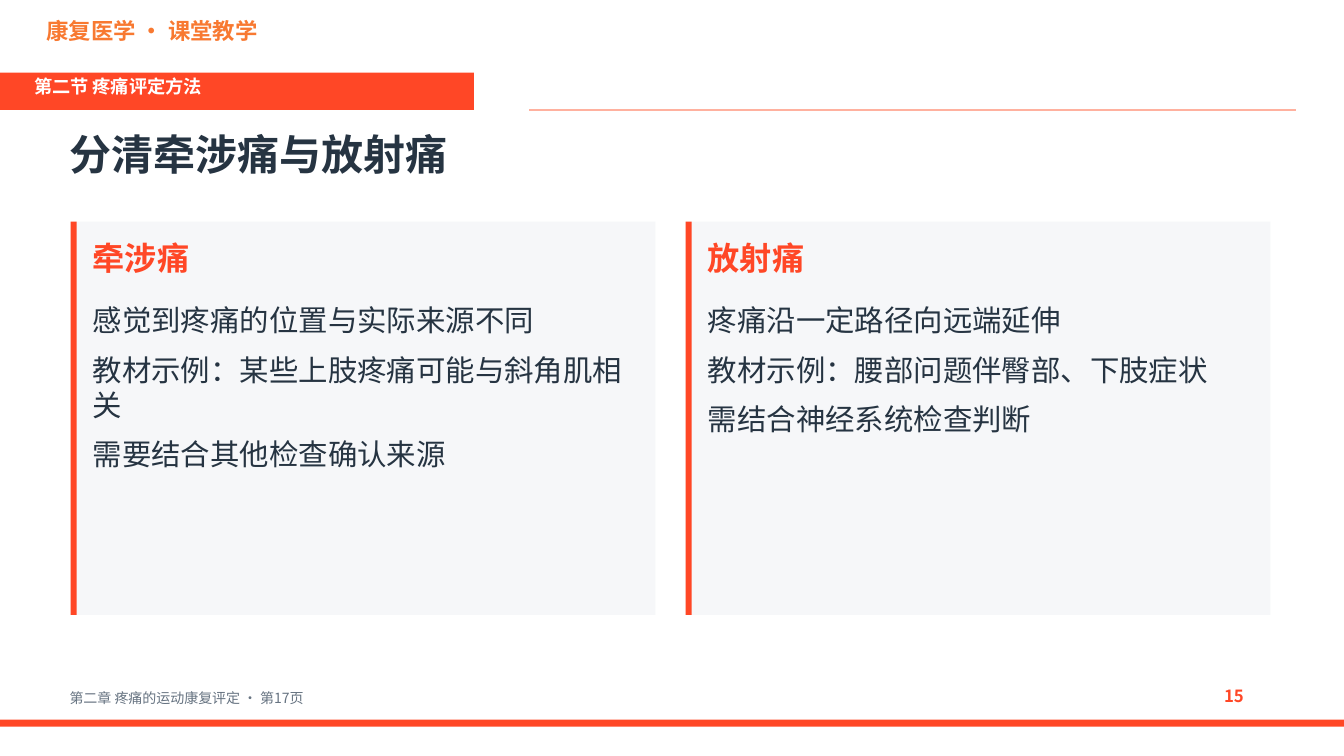
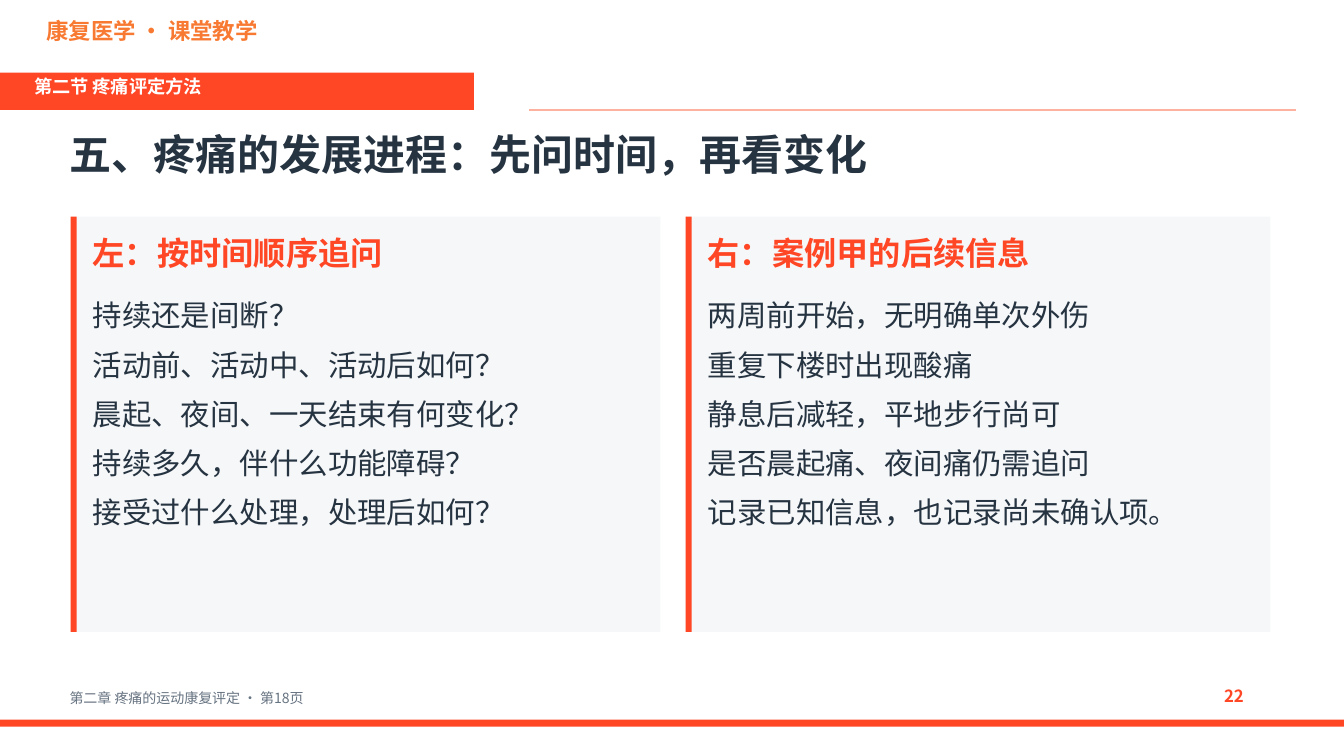
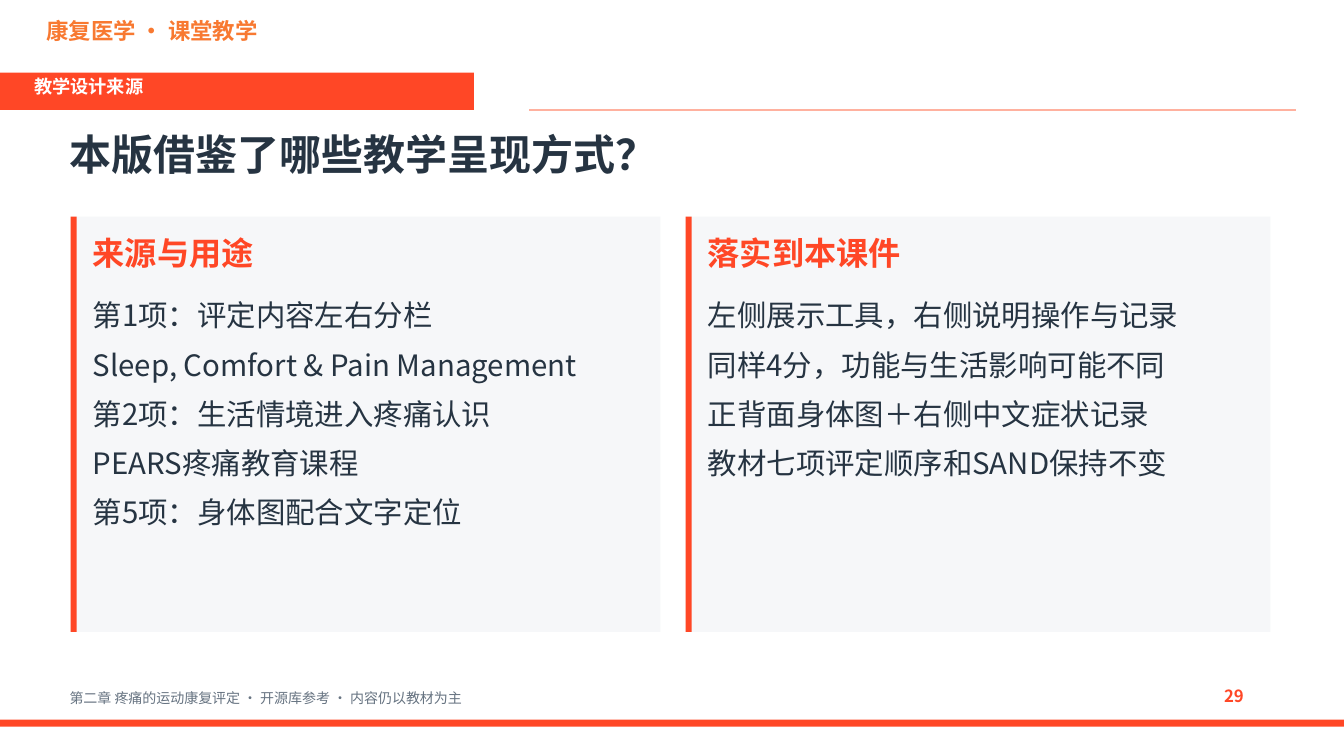
"""Build three two-column lecture slides on pain assessment."""
from lxml.etree import SubElement
from pptx import Presentation
from pptx.dml.color import RGBColor
from pptx.enum.shapes import MSO_CONNECTOR as CONN, MSO_SHAPE as SHAPE
from pptx.enum.text import MSO_ANCHOR as ANCHOR, MSO_AUTO_SIZE as AUTO, PP_ALIGN as ALIGN
from pptx.oxml.ns import qn
from pptx.util import Inches, Pt

W, H = 13.33, 7.5
FONT = "Noto Sans CJK SC"
RED, ORANGE, PALE_RED = "FF4726", "F87931", "FFB19F"
INK, GREY, PANEL, WHITE = "263442", "667381", "F6F7F9", "FFFFFF"
BRAND = "康复医学 · 课堂教学"
CHAPTER = "第二章 疼痛的运动康复评定 · "
SECTION = "第二节 疼痛评定方法"
CARD_LEFTS, CARD_W, ACCENT_W = (0.7, 6.8), 5.8, 0.06
PAD_LEFT, PAD_WIDTH = 0.18, 0.35
SHORT = {"top": 2.2, "height": 3.9, "widths": (CARD_W, CARD_W)}
TALL = {"top": 2.15, "height": 4.12, "widths": (CARD_W + 0.05, CARD_W)}

SLIDES = [
    {
        "section": SECTION, "title": "分清牵涉痛与放射痛",
        "footer": "第17页", "number": "15", "grid": SHORT,
        "cards": [
            ("牵涉痛", ["感觉到疼痛的位置与实际来源不同",
                     "教材示例：某些上肢疼痛可能与斜角肌相关",
                     "需要结合其他检查确认来源"]),
            ("放射痛", ["疼痛沿一定路径向远端延伸",
                     "教材示例：腰部问题伴臀部、下肢症状",
                     "需结合神经系统检查判断"]),
        ],
    },
    {
        "section": SECTION, "title": "五、疼痛的发展进程：先问时间，再看变化",
        "footer": "第18页", "number": "22", "grid": TALL,
        "cards": [
            ("左：按时间顺序追问", ["持续还是间断？",
                           "活动前、活动中、活动后如何？",
                           "晨起、夜间、一天结束有何变化？",
                           "持续多久，伴什么功能障碍？",
                           "接受过什么处理，处理后如何？"]),
            ("右：案例甲的后续信息", ["两周前开始，无明确单次外伤",
                            "重复下楼时出现酸痛",
                            "静息后减轻，平地步行尚可",
                            "是否晨起痛、夜间痛仍需追问",
                            "记录已知信息，也记录尚未确认项。"]),
        ],
    },
    {
        "section": "教学设计来源", "title": "本版借鉴了哪些教学呈现方式？",
        "footer": "开源库参考 · 内容仍以教材为主", "number": "29", "grid": TALL,
        "cards": [
            ("来源与用途", ["第1项：评定内容左右分栏",
                       "Sleep, Comfort & Pain Management",
                       "第2项：生活情境进入疼痛认识",
                       "PEARS疼痛教育课程",
                       "第5项：身体图配合文字定位"]),
            ("落实到本课件", ["左侧展示工具，右侧说明操作与记录",
                        "同样4分，功能与生活影响可能不同",
                        "正背面身体图＋右侧中文症状记录",
                        "教材七项评定顺序和SAND保持不变"]),
        ],
    },
]


def rgb(color):
    return RGBColor.from_string(color)


def add_rect(slide, box, color):
    sp = slide.shapes.add_shape(SHAPE.RECTANGLE, *map(Inches, box))
    sp.shadow.inherit = False
    sp.fill.solid()
    sp.fill.fore_color.rgb = rgb(color)
    sp.line.fill.background()
    return sp


def write(sp, box, lines, size, color, bold=False):
    sp.left, sp.top, sp.width, sp.height = map(Inches, box)
    tf = sp.text_frame
    tf.word_wrap = True
    tf.auto_size = AUTO.SHAPE_TO_FIT_TEXT
    tf.vertical_anchor = ANCHOR.TOP
    tf.margin_left = tf.margin_right = Inches(0.04)
    tf.margin_top, tf.margin_bottom = Inches(0.02), 0
    for i, line in enumerate(lines):
        p = tf.add_paragraph() if i else tf.paragraphs[0]
        pPr = p._p.get_or_add_pPr()
        pPr.set("marL", "0")
        pPr.set("indent", "0")
        SubElement(pPr, qn("a:buNone"))
        p.alignment = ALIGN.LEFT
        p.space_before, p.space_after = Pt(0), Pt(10)
        r = p.add_run()
        r.text = line
        r.font.size, r.font.bold, r.font.name = Pt(size), bold, FONT
        r.font.color.rgb = rgb(color)
        SubElement(r._r.get_or_add_rPr(), qn("a:ea")).set("typeface", FONT)


def add_text(slide, box, text, size, color, bold=True):
    sp = slide.shapes.add_textbox(*map(Inches, box))
    write(sp, box, [text], size, color, bold)


def add_frame(slide, data):
    add_rect(slide, (0, 7.14, W, 0.07), RED)
    add_text(slide, (0.42, 0.15, 3.5, 0.4), BRAND, 16, ORANGE)
    add_rect(slide, (0, 0.72, 4.7, 0.37), RED)
    add_text(slide, (0.3, 0.73, 4.2, 0.32), data["section"], 13, WHITE)
    write(slide.shapes.title, (0.65, 1.25, 12, 0.65), [data["title"]], 30, INK, True)
    rule = slide.shapes.add_connector(CONN.STRAIGHT, *map(Inches, (5.25, 1.09, 12.85, 1.09)))
    rule.line.color.rgb = rgb(PALE_RED)
    rule.line.width = Pt(1)
    SubElement(rule._element.spPr, qn("a:effectLst"))
    add_text(slide, (0.65, 6.82, 11, 0.23), CHAPTER + data["footer"], 10, GREY, False)
    add_text(slide, (12.1, 6.78, 0.6, 0.3), data["number"], 12, RED)


def add_card(slide, body, box, heading, lines):
    left, top, width, height = box
    add_rect(slide, box, PANEL)
    accent = add_rect(slide, (left, top, ACCENT_W, height), RED)
    x, w = left + PAD_LEFT, width - PAD_WIDTH
    add_text(slide, (x, top + 0.14, w, 0.45), heading, 23, RED)
    write(body, (x, top + 0.78, w, height - 0.87), lines, 21, INK)
    accent.element.addnext(body.element)


def main():
    prs = Presentation()
    prs.slide_width, prs.slide_height = Inches(W), Inches(H)
    for data in SLIDES:
        slide = prs.slides.add_slide(prs.slide_layouts[3])
        bodies = list(slide.placeholders)[1:]
        add_frame(slide, data)
        grid = data["grid"]
        columns = zip(bodies, CARD_LEFTS, grid["widths"], data["cards"])
        for body, left, width, (heading, lines) in columns:
            box = (left, grid["top"], width, grid["height"])
            add_card(slide, body, box, heading, lines)
    prs.save("out.pptx")


if __name__ == "__main__":
    main()
